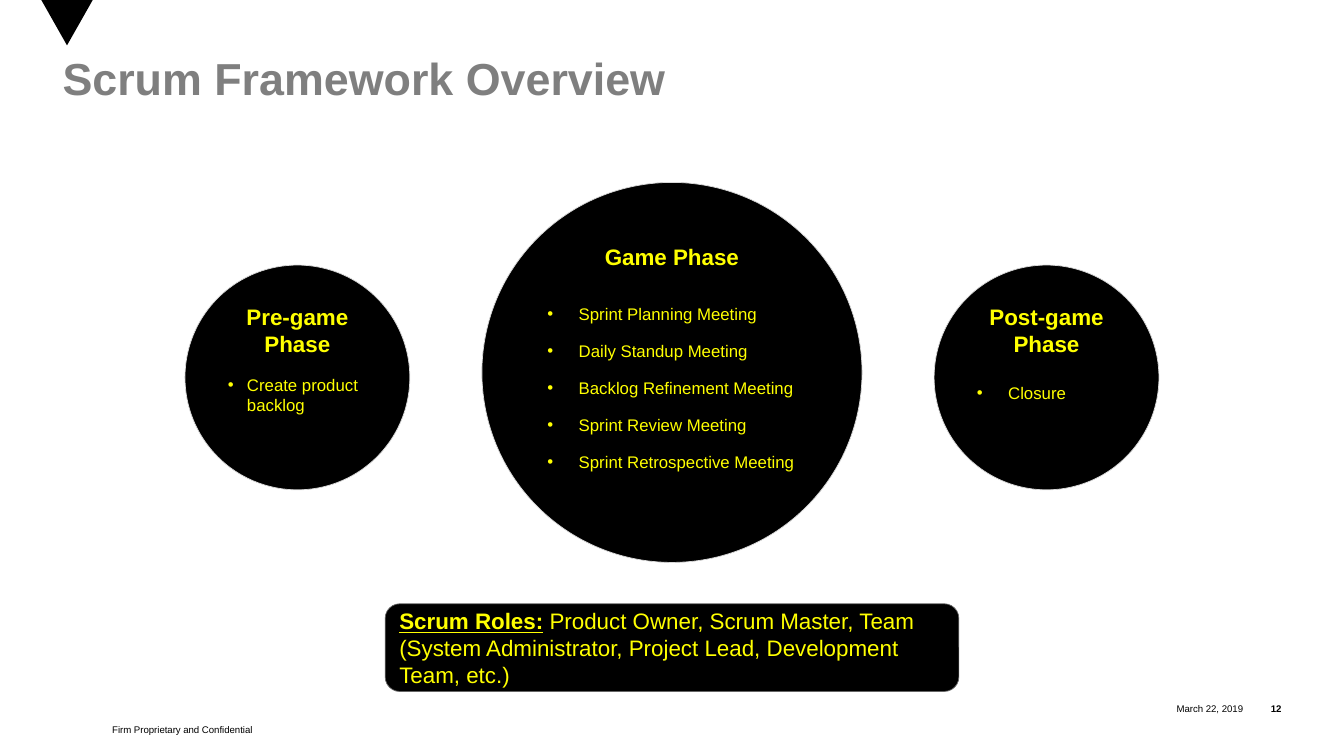
"""Build the Scrum Framework Overview slide."""
from lxml.etree import SubElement
from pptx import Presentation
from pptx.dml.color import RGBColor
from pptx.enum.shapes import MSO_SHAPE as Shape
from pptx.enum.text import MSO_ANCHOR as Anchor, PP_ALIGN as Align
from pptx.oxml.ns import qn
from pptx.util import Inches, Pt

BLACK, YELLOW, GREY = "000000", "FFFF00", "7F7F7F"
TITLE = "Scrum Framework Overview"
PHASES = [
    {"name": "Pre-game Phase", "size": 2.23, "mid": 3.745, "gap": 12.65,
     "indent": 0.19, "space": 0, "items": ["Create product backlog"]},
    {"name": "Game Phase", "size": 3.77, "mid": 3.695, "gap": 18.4,
     "indent": 0.31, "space": 6,
     "items": ["Sprint Planning Meeting", "Daily Standup Meeting",
               "Backlog Refinement Meeting", "Sprint Review Meeting",
               "Sprint Retrospective Meeting"]},
    {"name": "Post-game Phase", "size": 2.23, "mid": 3.745, "gap": 18.4,
     "indent": 0.31, "space": 0, "items": ["Closure"]},
]
FIRST, STEP = 2.95, 3.715
ROLES = ("Scrum Roles:", " Product Owner, Scrum Master, Team (System "
         "Administrator, Project Lead, Development Team, etc.)")
FOOTERS = [
    ("March 22, 2019", (10.84, 6.91, 1.49, 0.25), Align.RIGHT, False),
    ("12", (12.33, 6.91, 0.38, 0.25), Align.RIGHT, True),
    ("Firm Proprietary and Confidential", (-0.48, 7.11, 4.58, 0.25),
     Align.CENTER, False),
]


def color(code):
    return RGBColor.from_string(code)


def style(para, size, code, bold=False, align=Align.LEFT):
    para.alignment = align
    for run in para.runs:
        font = run.font
        font.name, font.size, font.bold = "Arial", Pt(size), bold
        font.color.rgb = color(code)


def add_block(slide, kind, box, edge=None):
    shape = slide.shapes.add_shape(kind, *map(Inches, box))
    shape.shadow.inherit = False
    shape.fill.solid()
    shape.fill.fore_color.rgb = color(BLACK)
    if edge:
        shape.line.color.rgb = color(edge)
        shape.line.width = Pt(0.5)
    else:
        shape.line.fill.background()
    shape.text_frame.word_wrap = True
    return shape.text_frame


def add_label(slide, text, box, anchor):
    frame = slide.shapes.add_textbox(*map(Inches, box)).text_frame
    frame.word_wrap = True
    frame.margin_left = frame.margin_right = 0
    frame.margin_top = frame.margin_bottom = 0
    frame.vertical_anchor = anchor
    frame.text = text
    return frame.paragraphs[0]


def add_bullet(para, indent):
    props = para._p.get_or_add_pPr()
    props.set("marL", str(Inches(indent)))
    props.set("indent", str(-Inches(indent)))
    SubElement(props, qn("a:buFont")).set("typeface", "Arial")
    SubElement(props, qn("a:buChar")).set("char", "•")


def add_phase(slide, phase, center):
    size = phase["size"]
    box = (center - size / 2, phase["mid"] - size / 2, size, size)
    frame = add_block(slide, Shape.OVAL, box, "D9D9D9")
    frame.vertical_anchor = Anchor.TOP
    frame.text = "\n".join([phase["name"], *phase["items"]])
    head, *items = frame.paragraphs
    style(head, 16, YELLOW, True, Align.CENTER)
    head.space_after = Pt(phase["gap"])
    for para in items:
        style(para, 12, YELLOW)
        para.space_before = para.space_after = Pt(phase["space"])
        add_bullet(para, phase["indent"])


def add_roles(slide):
    frame = add_block(slide, Shape.ROUNDED_RECTANGLE,
                      (3.82, 5.99, 5.69, 0.87), "666666")
    frame.vertical_anchor = Anchor.MIDDLE
    para = frame.paragraphs[0]
    for text in ROLES:
        para.add_run().text = text
    style(para, 16, YELLOW)
    para.space_before = para.space_after = Pt(3)
    label = para.runs[0].font
    label.bold = label.underline = True


def main():
    deck = Presentation()
    deck.slide_width, deck.slide_height = Inches(13.33), Inches(7.5)
    slide = deck.slides.add_slide(deck.slide_layouts[6])
    add_block(slide, Shape.FLOWCHART_MERGE, (0.41, 0, 0.51, 0.45))
    for text, box, align, bold in FOOTERS:
        style(add_label(slide, text, box, Anchor.MIDDLE),
              6.9, BLACK, bold, align)
    title = add_label(slide, TITLE, (0.62, 0.58, 12.08, 1.29), Anchor.TOP)
    style(title, 32, GREY, True)
    title.line_spacing = 0.85
    for i, phase in enumerate(PHASES):
        add_phase(slide, phase, FIRST + i * STEP)
    add_roles(slide)
    deck.save("out.pptx")


if __name__ == "__main__":
    main()
